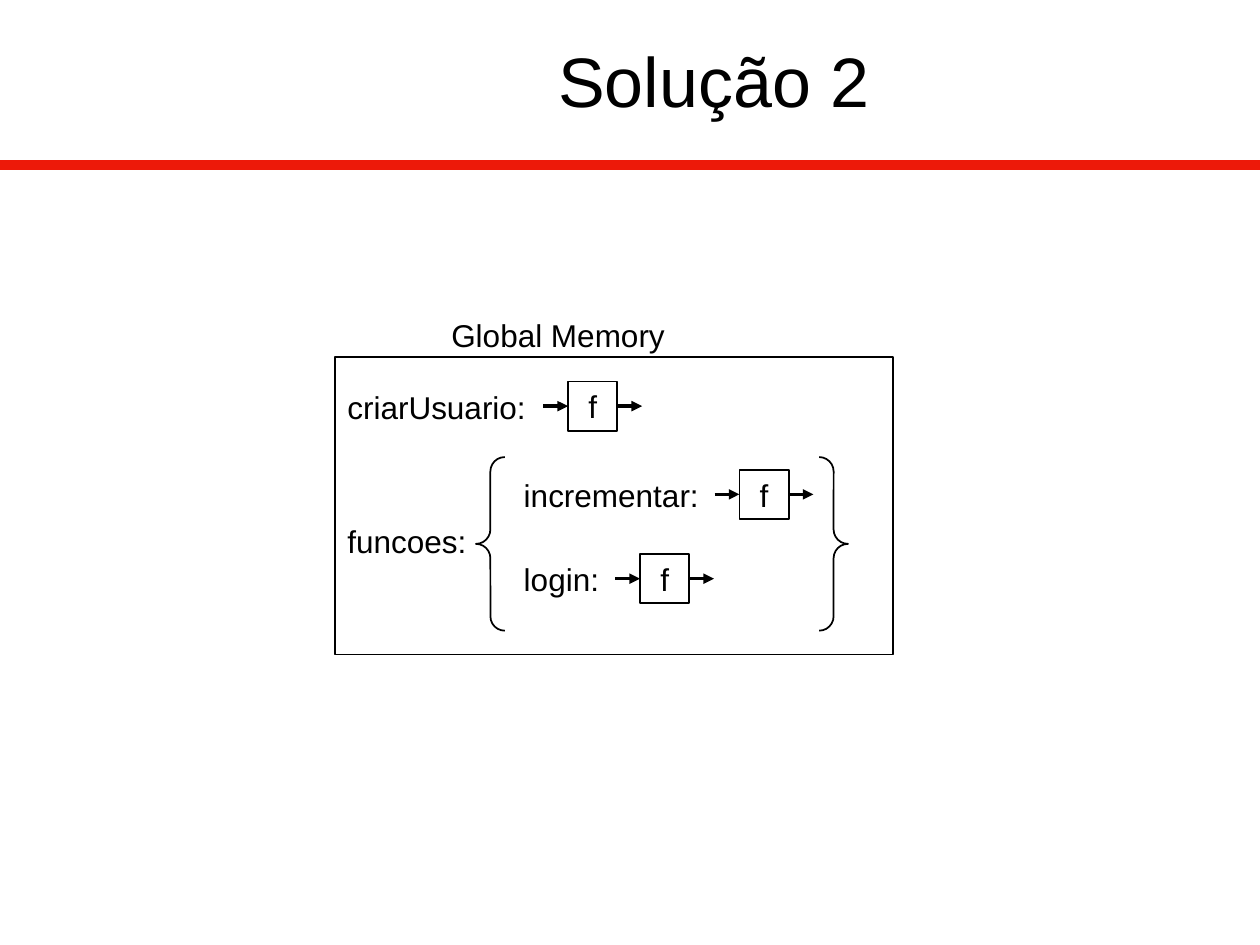
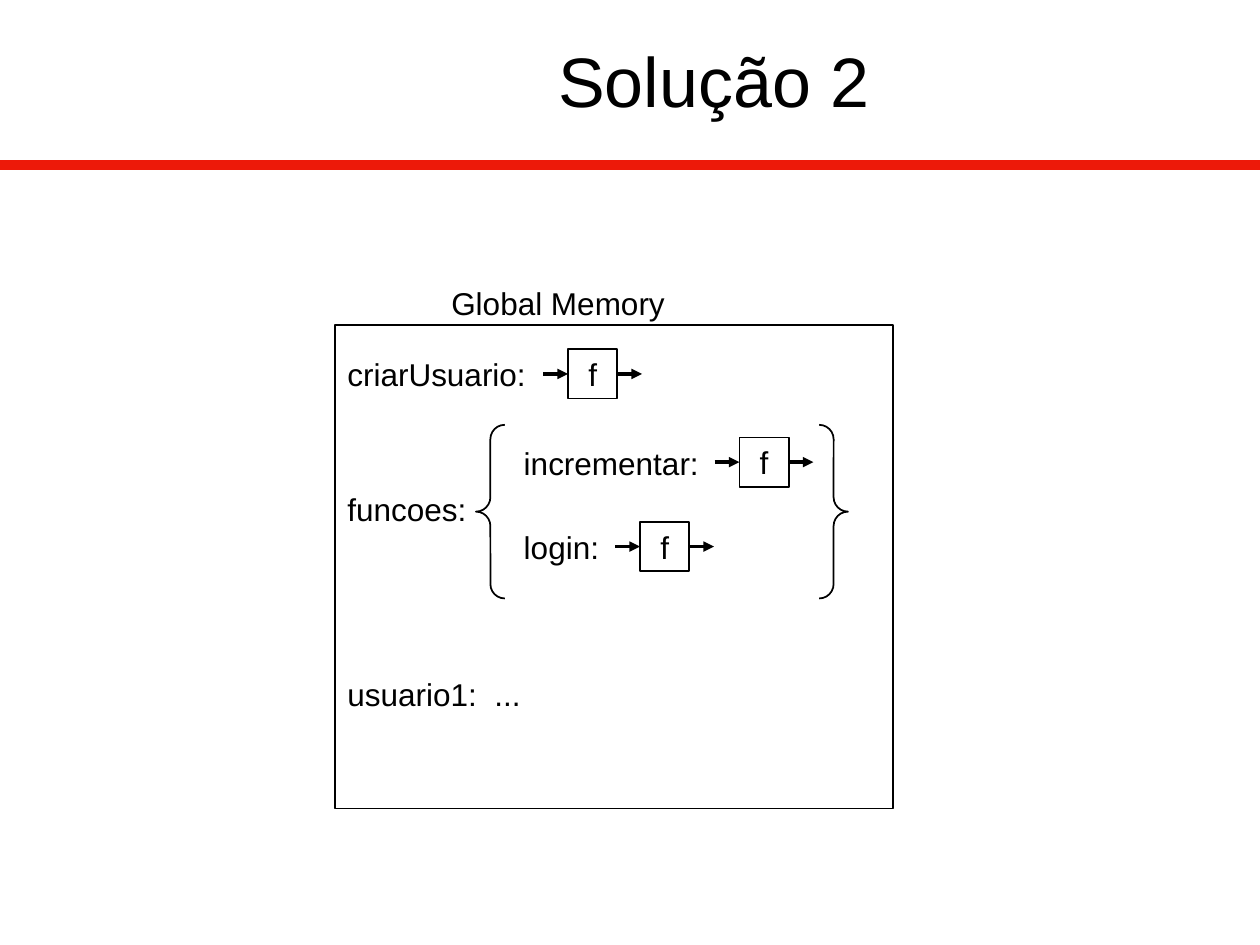
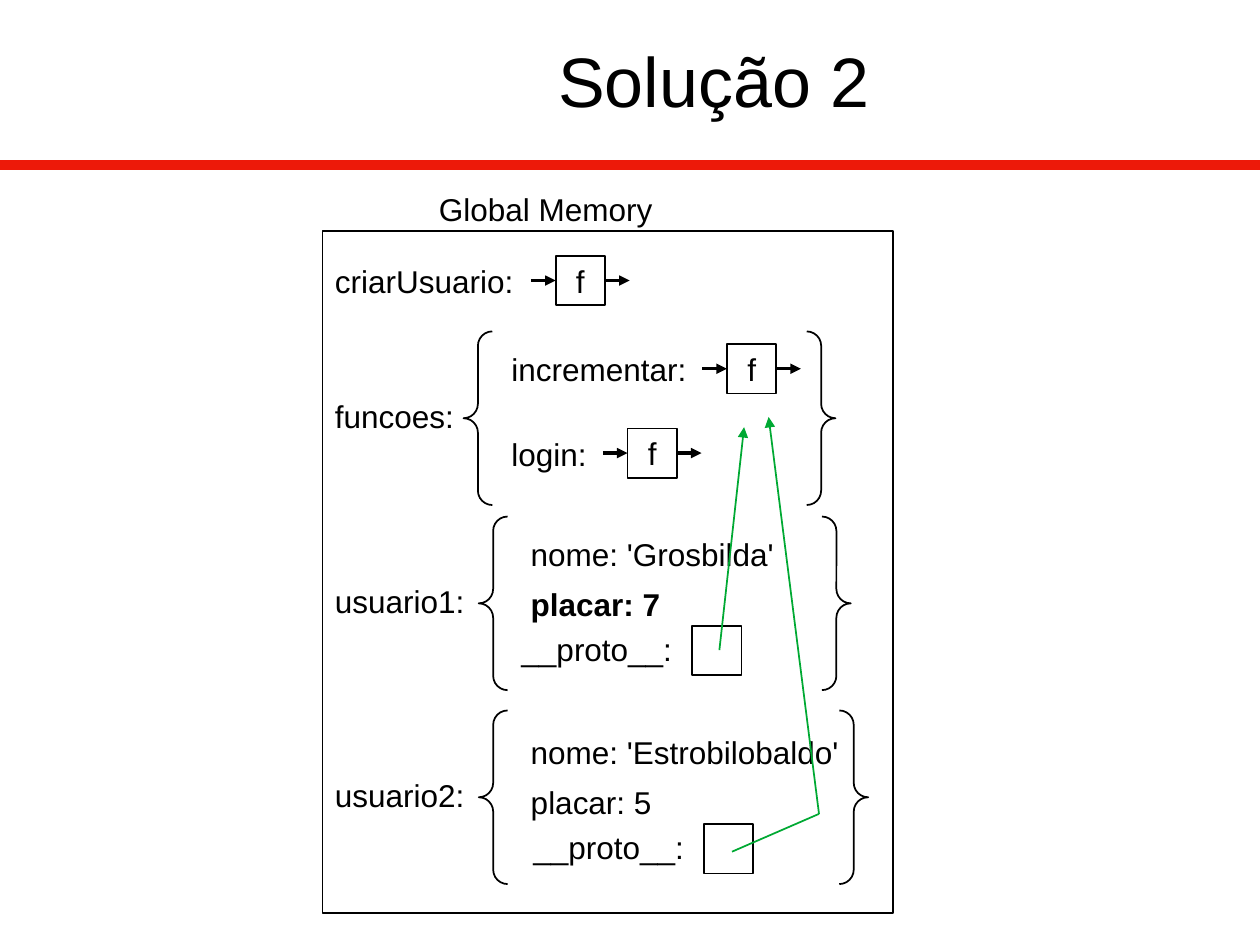
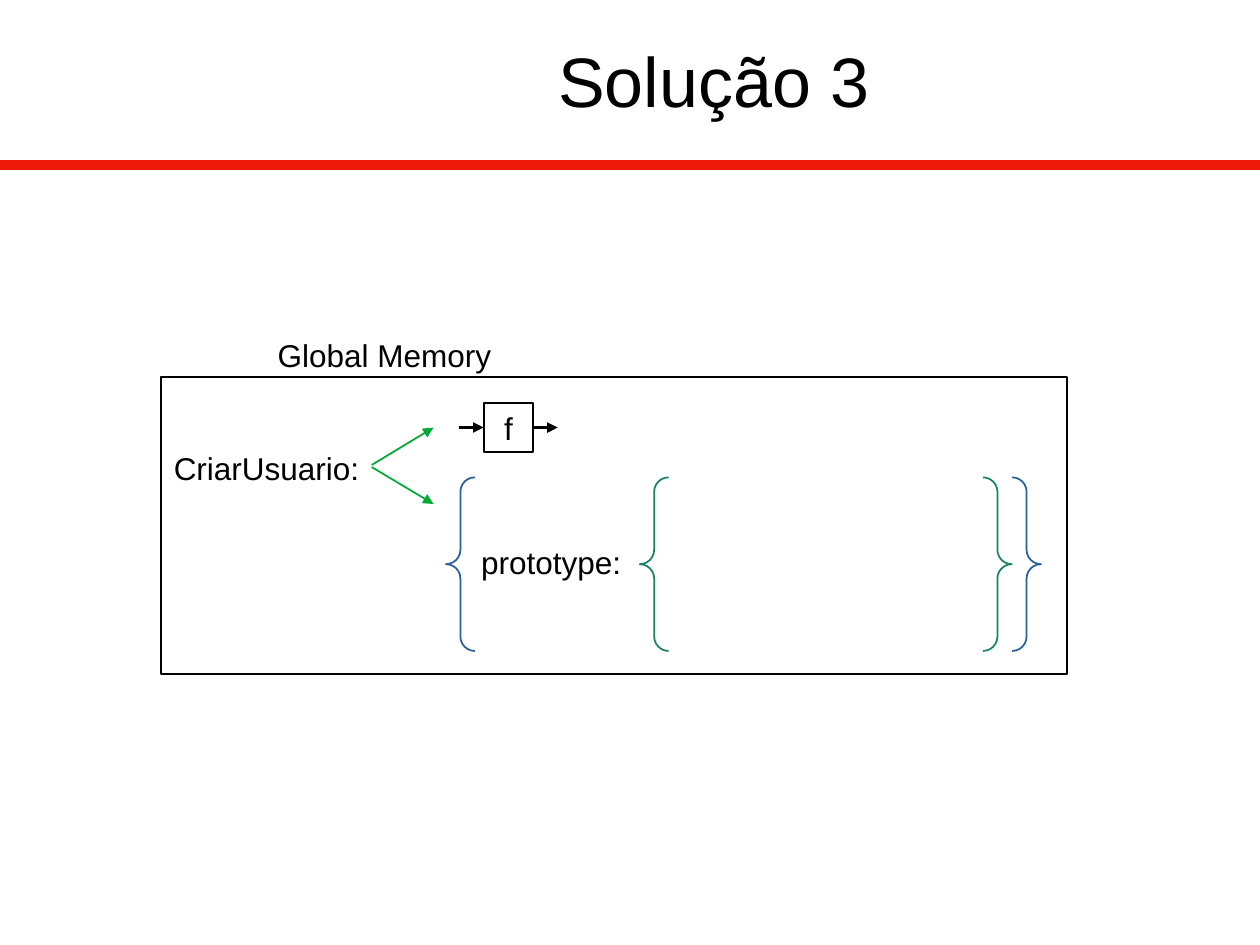
import pptx
import pptx.dml.color
import pptx.enum.shapes
import pptx.enum.text
import pptx.oxml.ns
import pptx.util
from lxml import etree

Pt = pptx.util.Pt
qn = pptx.oxml.ns.qn
SHAPE = pptx.enum.shapes.MSO_SHAPE
ALIGN = pptx.enum.text.PP_ALIGN
ANCHOR = pptx.enum.text.MSO_ANCHOR
AUTO_SIZE = pptx.enum.text.MSO_AUTO_SIZE

COLORS = {
    "text": "000000",
    "band": "ED1909",
    "arrow": "00A933",
    "object": "2A6099",
    "prototype": "158466",
}
FONT = "Arial"
BOX = 28.2
LABEL_W, LABEL_H = 170, 28.8
BRACE_W, BRACE_H = 212.6, 99.2


def rgb(name):
    return pptx.dml.color.RGBColor.from_string(COLORS[name])


def add_run(p, text, size=18, bold=False):
    r = p.add_run()
    r.text = text
    r.font.name = FONT
    r.font.size = Pt(size)
    r.font.bold = bold
    r.font.color.rgb = rgb("text")


def add_line(shapes, start, end, color="text", width=1, arrow=True):
    line = shapes.add_connector(
        pptx.enum.shapes.MSO_CONNECTOR.STRAIGHT, *map(Pt, start + end))
    line.line.color.rgb = rgb(color)
    line.line.width = Pt(width)
    if arrow:
        etree.SubElement(line.line._get_or_add_ln(), qn("a:tailEnd"), type="triangle")
    etree.SubElement(line.element.spPr, qn("a:effectLst"))
    return line


def add_outline(shapes, kind, left, top, width, height, color="text"):
    sp = shapes.add_shape(kind, Pt(left), Pt(top), Pt(width), Pt(height))
    sp.shadow.inherit = False
    sp.fill.background()
    sp.line.color.rgb = rgb(color)
    sp.line.width = Pt(1)
    return sp


def add_braces(s, left, top, width=BRACE_W, color="text"):
    sp = add_outline(s.shapes, SHAPE.DOUBLE_BRACE, left, top, width, BRACE_H, color)
    sp.adjustments[0] = 0.083


def add_label(s, text, left, top, width=LABEL_W, align=ALIGN.LEFT, bold=False):
    tf = s.shapes.add_textbox(Pt(left), Pt(top), Pt(width), Pt(LABEL_H)).text_frame
    tf.word_wrap = True
    tf.auto_size = AUTO_SIZE.SHAPE_TO_FIT_TEXT
    p = tf.paragraphs[0]
    p.alignment = align
    add_run(p, text, bold=bold)
    return p


def add_tab_stop(p, position):
    tabs = etree.SubElement(p._p.get_or_add_pPr(), qn("a:tabLst"))
    etree.SubElement(tabs, qn("a:tab"), pos=str(Pt(position)), algn="l")


def add_function(s, left, top):
    """Group a box marked f with an arrow going in and one coming out."""
    shapes = s.shapes.add_group_shape().shapes
    sp = add_outline(shapes, SHAPE.RECTANGLE, left, top, BOX, BOX)
    tf = sp.text_frame
    tf.word_wrap = False
    tf.vertical_anchor = ANCHOR.MIDDLE
    tf.margin_left = tf.margin_right = Pt(8)
    tf.margin_top = tf.margin_bottom = Pt(4.4)
    tf.paragraphs[0].alignment = ALIGN.CENTER
    add_run(tf.paragraphs[0], "f")
    middle = top + BOX / 2
    for start in (left - BOX / 2, left + BOX):
        add_line(shapes, (start, middle), (start + BOX / 2, middle), width=0)


def add_memory(s, left, top, width, height):
    add_label(s, "Global Memory", left, top - 27, 255, ALIGN.CENTER)
    add_outline(s.shapes, SHAPE.RECTANGLE, left, top, width, height)


def add_functions_memory(s, left, top, width, height):
    """Draw the memory frame with criarUsuario and the funcoes object."""
    add_memory(s, left, top, width, height)
    add_label(s, "funcoes:", left, top + 91)
    add_braces(s, left + 80.6, top + 57.2)
    for name, label_x, box_x, y in (
        ("criarUsuario:", 0, 133.2, 14),
        ("incrementar:", 100.8, 231.1, 64.4),
        ("login:", 100.8, 174.3, 112.6),
    ):
        add_label(s, name, left + label_x, top + y)
        add_function(s, left + box_x, top + y)


def add_user(s, variable, name, score, top, brace_w, fields_top, proto_left, bold=False):
    """Draw a user object whose __proto__ is an empty reference box."""
    add_label(s, variable, 184.3, top + 33.8)
    add_braces(s, 273.6, top, brace_w)
    add_label(s, f"nome: '{name}'", 296.2, fields_top, 192.2)
    add_label(s, f"placar: {score}", 296.2, fields_top + 28.4, bold=bold)
    add_label(s, "__proto__:", proto_left, fields_top + 54)
    add_outline(s.shapes, SHAPE.RECTANGLE, proto_left + 104.6, fields_top + 55.3, BOX, BOX)


def add_slide(prs, title):
    s = prs.slides.add_slide(prs.slide_layouts[5])
    tf = s.shapes.title.text_frame
    tf.vertical_anchor = ANCHOR.MIDDLE
    p = tf.paragraphs[0]
    p.alignment = ALIGN.CENTER
    add_run(p, title, size=40)
    return s


def style_layout(prs, s):
    """Place the title on the shared layout and move the red band there."""
    layout = s.slide_layout
    title = next(ph for ph in layout.placeholders if ph.placeholder_format.idx == 0)
    title.left, title.top, title.width, title.height = map(Pt, (110.2, -6.5, 595.4, 103.7))
    band = add_line(s.shapes, (0, 94.3), (720, 94.3), "band", 6, arrow=False)
    band.element.nvCxnSpPr.cNvPr.id = 100
    layout.shapes.element.append(band.element)


def main():
    prs = pptx.Presentation()
    prs.slide_width, prs.slide_height = Pt(720), Pt(540)

    s = add_slide(prs, "Solução 2")
    style_layout(prs, s)
    add_functions_memory(s, 191.4, 204, 319, 170)

    s = add_slide(prs, "Solução 2")
    add_functions_memory(s, 191.4, 185.6, 319, 276.5)
    add_tab_stop(add_label(s, "usuario1:\t...", 191.4, 382.4), 84)

    s = add_slide(prs, "Solução 2")
    add_functions_memory(s, 184.3, 132.2, 326.2, 389.5)
    add_user(s, "usuario1:", "Grosbilda", 7, 295.2, BRACE_W, 302.4, 290.9, bold=True)
    add_user(s, "usuario2:", "Estrobilobaldo", 5, 406, 222.5, 415.6, 297.7)
    add_line(s.shapes, (411.1, 371.5), (425.2, 244.1), "arrow")
    add_line(s.shapes, (468, 465.1), (439.2, 238.3), "arrow")
    add_line(s.shapes, (418.3, 486.7), (468, 465.1), "arrow", arrow=False)

    s = add_slide(prs, "Solução 3")
    add_memory(s, 92.2, 215.3, 517.5, 170)
    add_label(s, "CriarUsuario:", 92.2, 252.9)
    add_function(s, 276.4, 230.2)
    add_line(s.shapes, (212.4, 265.7), (247.7, 244.4), "arrow")
    add_line(s.shapes, (212.4, 266.9), (247.7, 288), "arrow")
    add_braces(s, 254.9, 272.8, 340, "object")
    add_label(s, "prototype:", 267.8, 306.7)
    add_braces(s, 365.6, 272.8, color="prototype")

    prs.save("out.pptx")


if __name__ == "__main__":
    main()
